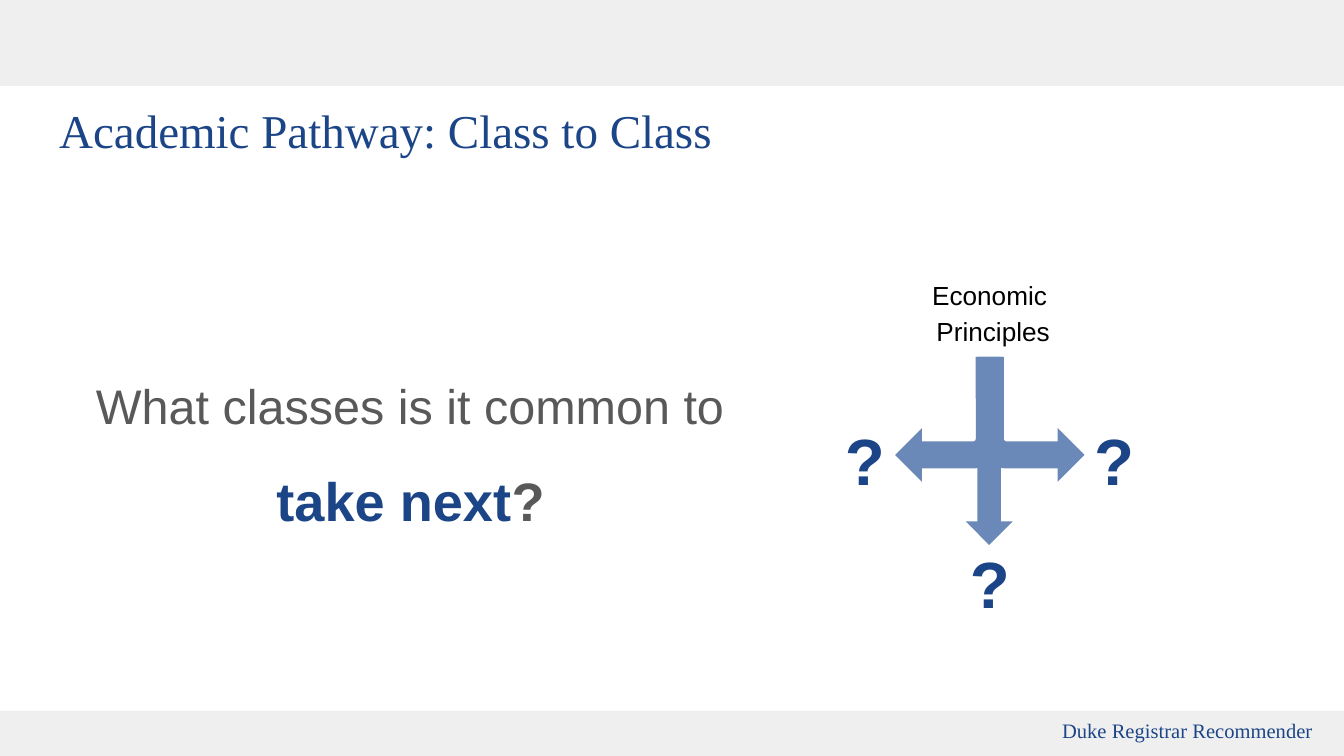
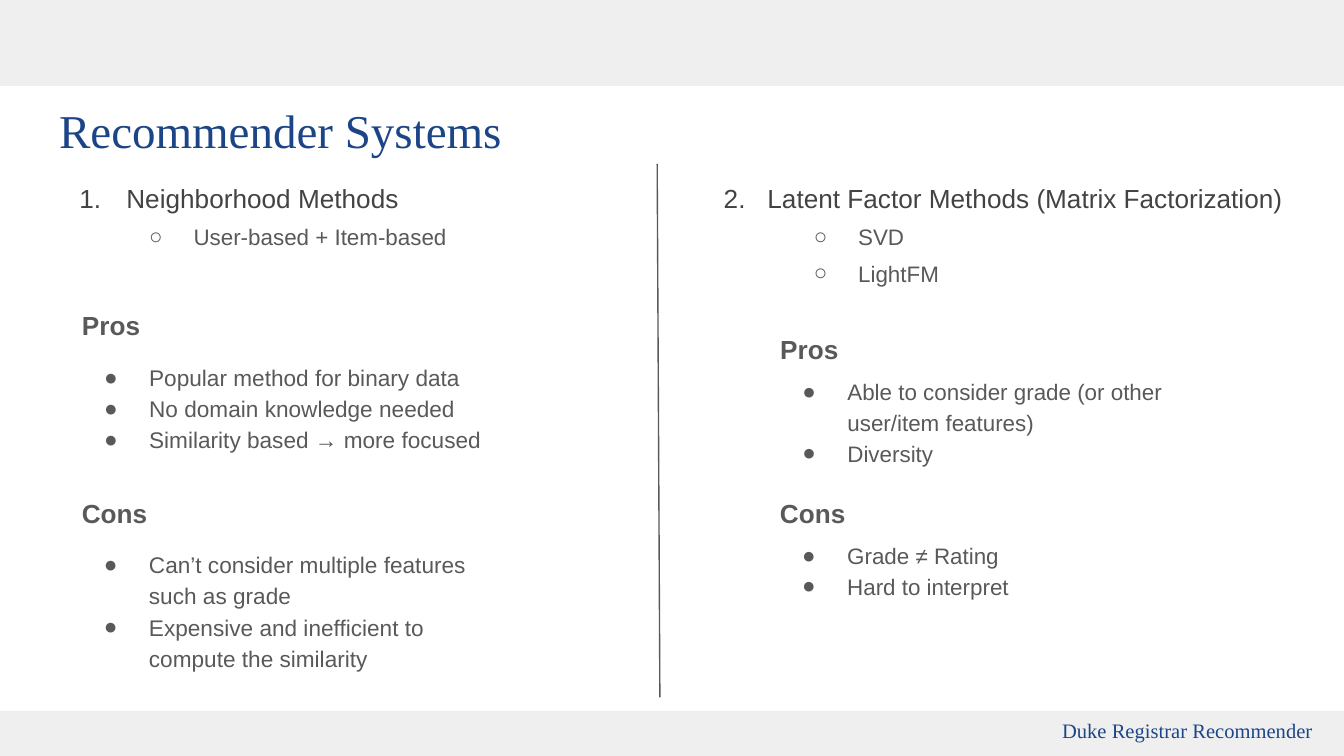
from dataclasses import dataclass, replace

from lxml import etree
from pptx import Presentation
from pptx.dml.color import RGBColor
from pptx.enum.shapes import MSO_CONNECTOR, MSO_SHAPE
from pptx.enum.text import MSO_ANCHOR, MSO_AUTO_SIZE, PP_ALIGN
from pptx.oxml.ns import qn
from pptx.util import Emu, Pt

RECTANGLE = MSO_SHAPE.RECTANGLE
BENT_ARROW = MSO_SHAPE.BENT_ARROW
DOWN_ARROW = MSO_SHAPE.DOWN_ARROW
STRAIGHT = MSO_CONNECTOR.STRAIGHT
TOP, MIDDLE = MSO_ANCHOR.TOP, MSO_ANCHOR.MIDDLE
LEFT, CENTER = PP_ALIGN.LEFT, PP_ALIGN.CENTER
NO_AUTOFIT = MSO_AUTO_SIZE.NONE

EMU_PER_PX = 4572
SLIDE_WIDTH, SLIDE_HEIGHT = 2000, 1125
INSET = 20
SANS, SERIF = "Arial", "Times New Roman"
COLORS = {
    "navy": "1C4587",
    "band": "EFEFEF",
    "arrow": "6B89B8",
    "text": "595959",
    "heading": "434343",
    "black": "000000",
}
CONTENT_LAYOUT, COMPARISON_LAYOUT = 1, 4


@dataclass(frozen=True)
class Box:
    left: int
    top: int
    width: int
    height: int


@dataclass(frozen=True)
class Style:
    size: float
    color: str = "text"
    bold: bool = False
    font: str = SANS


@dataclass(frozen=True)
class Line:
    text: str
    style: Style
    align: PP_ALIGN = LEFT
    level: int = 0
    margin: int = 0
    hanging: int = 0
    bullet: str = ""
    numbered: bool = False
    spacing: float = 1.0
    before: int = 0
    after: int = 0


TITLE = Style(25.2, "navy", font=SERIF)
FOOTER = Style(11, "navy", font=SERIF)
METHOD = Style(14, "heading")
SECTION = Style(14, bold=True)
QUESTION_MARK = Style(35, "navy", True)
TITLE_BOX = Box(68, 131, 1864, 126)


def px(value: int) -> Emu:
    return Emu(value * EMU_PER_PX)


def color(name: str) -> RGBColor:
    return RGBColor.from_string(COLORS[name])


def place(shape, box: Box) -> None:
    shape.left, shape.top = px(box.left), px(box.top)
    shape.width, shape.height = px(box.width), px(box.height)


def format_run(run, style: Style) -> None:
    run.font.name = style.font
    run.font.size = Pt(style.size)
    run.font.bold = style.bold
    run.font.color.rgb = color(style.color)


def set_bullet(paragraph, line: Line) -> None:
    properties = paragraph._p.get_or_add_pPr()
    properties.set("marL", str(px(line.margin)))
    properties.set("indent", str(px(-line.hanging)))
    if not (line.bullet or line.numbered):
        etree.SubElement(properties, qn("a:buNone"))
        return
    bullet_color = etree.SubElement(properties, qn("a:buClr"))
    etree.SubElement(bullet_color, qn("a:srgbClr"), val=COLORS[line.style.color])
    etree.SubElement(properties, qn("a:buFont"), typeface=SANS)
    if line.numbered:
        etree.SubElement(properties, qn("a:buAutoNum"), type="arabicPeriod")
    else:
        etree.SubElement(properties, qn("a:buChar"), char=line.bullet)


def format_paragraph(paragraph, line: Line) -> None:
    paragraph.level = line.level
    set_bullet(paragraph, line)
    paragraph.alignment = line.align
    paragraph.line_spacing = line.spacing
    paragraph.space_before = Pt(line.before)
    paragraph.space_after = Pt(line.after)
    for run in paragraph.runs:
        format_run(run, line.style)


def write(shape, lines: list[Line], anchor: MSO_ANCHOR = TOP) -> None:
    frame = shape.text_frame
    frame.word_wrap = True
    frame.auto_size = NO_AUTOFIT
    frame.vertical_anchor = anchor
    frame.margin_left = frame.margin_right = px(INSET)
    frame.margin_top = frame.margin_bottom = px(INSET)
    for index, line in enumerate(lines):
        paragraph = frame.add_paragraph() if index else frame.paragraphs[0]
        paragraph.text = line.text
        format_paragraph(paragraph, line)


def add_text(slide, box: Box, lines: list[Line], anchor: MSO_ANCHOR = TOP) -> None:
    shape = slide.shapes.add_textbox(0, 0, 0, 0)
    place(shape, box)
    write(shape, lines, anchor)


def fill_placeholder(slide, index: int, box: Box, lines: list[Line],
                     anchor: MSO_ANCHOR = TOP):
    shape = slide.placeholders[index]
    place(shape, box)
    write(shape, lines, anchor)
    return shape


def add_filled(slide, kind: MSO_SHAPE, box: Box, fill: str):
    shape = slide.shapes.add_shape(kind, 0, 0, 0, 0)
    place(shape, box)
    shape.shadow.inherit = False
    shape.fill.solid()
    shape.fill.fore_color.rgb = color(fill)
    shape.line.fill.background()
    return shape


def add_slide(presentation, layout: int, title: str):
    slide = presentation.slides.add_slide(presentation.slide_layouts[layout])
    fill_placeholder(slide, 0, TITLE_BOX, [Line(title, TITLE)])
    for top, bottom in ((0, 128), (1058, SLIDE_HEIGHT)):
        add_filled(slide, RECTANGLE, Box(0, top, SLIDE_WIDTH, bottom - top), "band")
    footer = Line("Duke Registrar Recommender", FOOTER, CENTER)
    add_text(slide, Box(1531, 1060, 472, 54), [footer], MIDDLE)
    return slide


def add_bent_arrow(slide, left: int, flipped: bool) -> None:
    arrow = add_filled(slide, BENT_ARROW, Box(left, 531, 160, 186), "arrow")
    arrow.rotation = 180
    for index, value in enumerate((0.25, 0.25, 0.25, 0.275)):
        arrow.adjustments[index] = value
    if flipped:
        arrow._element.spPr.find(qn("a:xfrm")).set("flipH", "1")


def build_pathway(presentation) -> None:
    slide = add_slide(presentation, CONTENT_LAYOUT, "Academic Pathway: Class to Class")
    question = Line("What classes is it common to ", Style(26), CENTER,
                    spacing=1.5, after=12)
    body = fill_placeholder(slide, 1, Box(82, 367, 1058, 574), [question], MIDDLE)
    for text, name in (("take next", "navy"), ("?", "text")):
        run = body.text_frame.paragraphs[0].add_run()
        run.text = text
        format_run(run, Style(29, name, True))

    course = Line("Economic \vPrinciples", Style(14, "black"), CENTER, spacing=1.15)
    add_text(slide, Box(1327, 389, 302, 142), [course])
    add_bent_arrow(slide, 1332, False)
    add_bent_arrow(slide, 1454, True)
    add_filled(slide, DOWN_ARROW, Box(1437, 531, 70, 280), "arrow")
    for left, top in ((1230, 605), (1601, 605), (1416, 788)):
        add_text(slide, Box(left, top, 114, 158), [Line("?", QUESTION_MARK, CENTER)])


def method_lines(heading: Line, examples: list[str], after: int) -> list[Line]:
    lines = [Line(example, Style(12), level=1, margin=200, hanging=66,
                  bullet="○", before=5) for example in examples]
    return [heading, *lines[:-1], replace(lines[-1], after=after)]


def section_lines(heading: str, points: list[str], size: float, gap: int,
                  after: int = 0) -> list[Line]:
    lines = [Line(point, Style(size), margin=100, hanging=67, bullet="●",
                  spacing=1.15, before=0 if index else gap)
             for index, point in enumerate(points)]
    lines[-1] = replace(lines[-1], after=after)
    return [Line(heading, SECTION, spacing=1.15), *lines]


def build_systems(presentation) -> None:
    slide = add_slide(presentation, COMPARISON_LAYOUT, "Recommender Systems")
    neighborhood = Line("Neighborhood Methods", METHOD, margin=100, hanging=70,
                        numbered=True)
    latent = Line("2.\tLatent Factor Methods (Matrix Factorization)", METHOD,
                  margin=65, hanging=65)
    lists = (
        (Box(68, 252, 874, 158),
         method_lines(neighborhood, ["User-based + Item-based"], 10)),
        (Box(1057, 252, 900, 216), method_lines(latent, ["SVD", "LightFM"], 5)),
        (Box(102, 434, 874, 268), section_lines(
            "Pros", ["Popular method for binary data", "No domain knowledge needed",
                     "Similarity based → more focused"], 12.1, 10)),
        (Box(1141, 469, 656, 242), section_lines(
            "Pros", ["Able to consider grade (or other user/item features)",
                     "Diversity"], 12, 5, 10)),
    )
    for index, (box, lines) in enumerate(lists, start=1):
        fill_placeholder(slide, index, box, lines)

    add_text(slide, Box(102, 713, 658, 304), section_lines(
        "Cons", ["Can’t consider multiple features such as grade",
                 "Expensive and inefficient to compute the similarity"], 12.1, 10))
    add_text(slide, Box(1141, 713, 656, 196), section_lines(
        "Cons", ["Grade ≠ Rating", "Hard to interpret"], 12, 5))

    divider = slide.shapes.add_connector(STRAIGHT, px(978), px(244), px(982), px(1038))
    divider.line.color.rgb = color("text")
    divider.line.width = Pt(0.75)
    etree.SubElement(divider._element.spPr, qn("a:effectLst"))


def main() -> None:
    presentation = Presentation()
    presentation.slide_width = px(SLIDE_WIDTH)
    presentation.slide_height = px(SLIDE_HEIGHT)
    build_pathway(presentation)
    build_systems(presentation)
    presentation.save("out.pptx")


if __name__ == "__main__":
    main()
